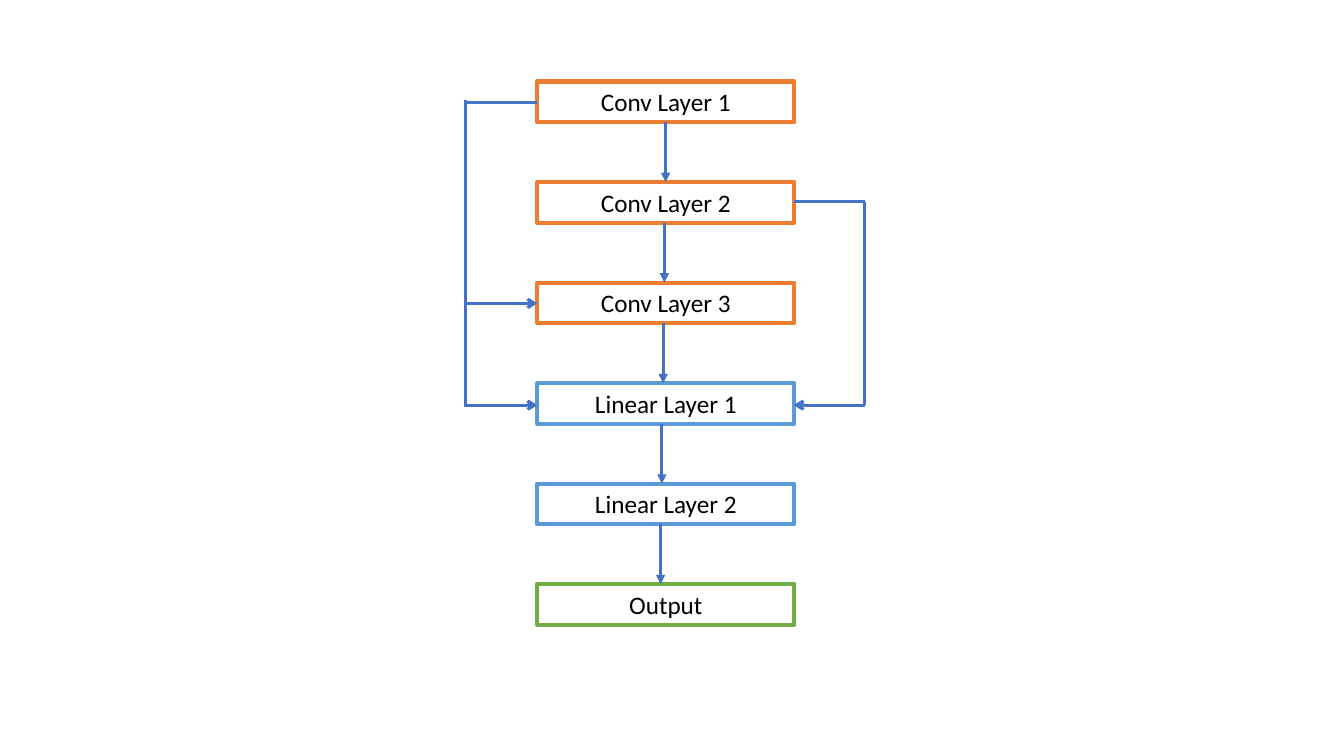
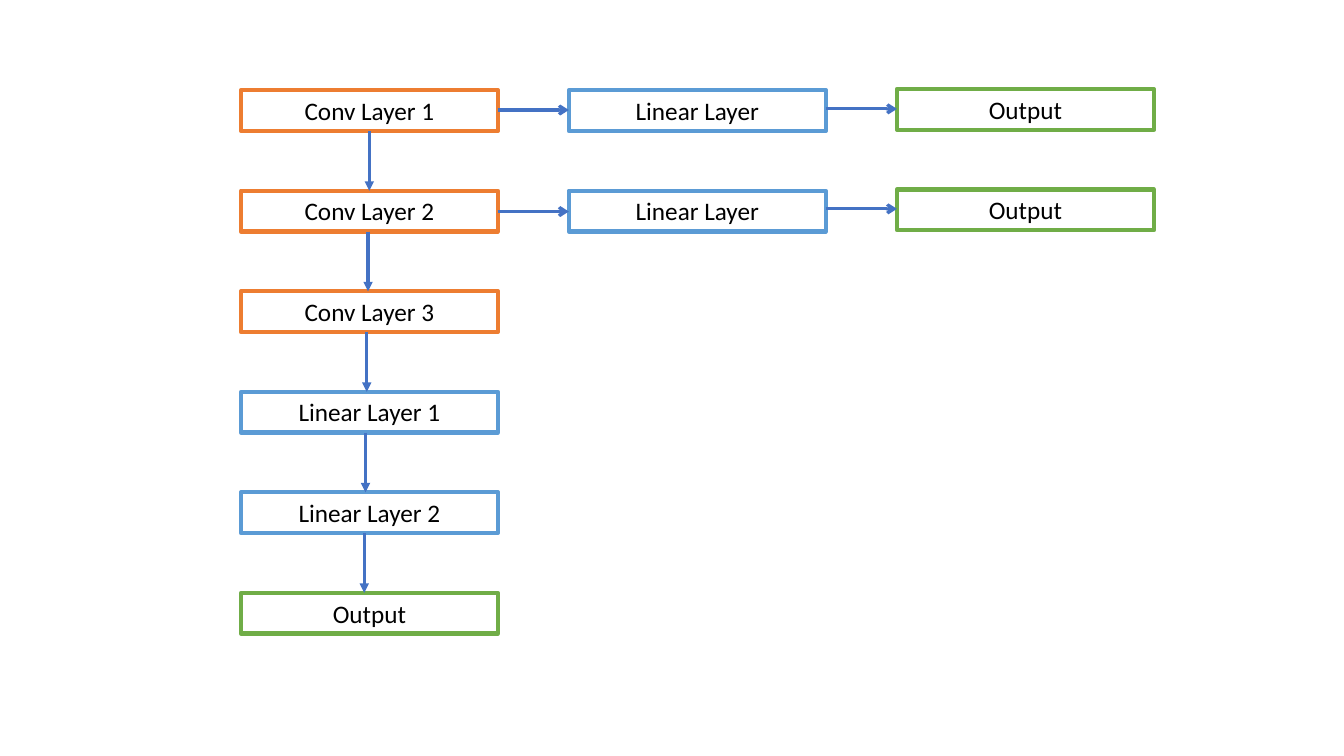
from pptx import Presentation
from pptx.dml.color import RGBColor
from pptx.enum import shapes, text
from pptx.oxml import ns
from pptx.util import Pt
from lxml import etree

# Shared style
ORANGE, BLUE, GREEN, ARROW = "ED7D31", "5B9BD5", "70AD47", "4472C4"
WIDE, HIGH, STEP = 183.6, 29.08, 71.8
FONT = {"name": "Calibri", "size": Pt(18)}
FRAME = {"word_wrap": True, "auto_size": text.MSO_AUTO_SIZE.SHAPE_TO_FIT_TEXT}
STACK = [("Conv Layer 1", ORANGE), ("Conv Layer 2", ORANGE),
         ("Conv Layer 3", ORANGE), ("Linear Layer 1", BLUE),
         ("Linear Layer 2", BLUE), ("Output", GREEN)]
color = RGBColor.from_string


def box(slide, label, edge, left, top):
    shape = slide.shapes.add_textbox(Pt(left), Pt(top), Pt(WIDE), Pt(HIGH))
    shape.line.color.rgb = color(edge)
    shape.line.width = Pt(3)
    frame = shape.text_frame
    for key, value in FRAME.items():
        setattr(frame, key, value)
    para = frame.paragraphs[0]
    para.alignment = text.PP_ALIGN.CENTER
    run = para.add_run()
    run.text = label
    for key, value in FONT.items():
        setattr(run.font, key, value)
    run.font.color.rgb = color("000000")


def link(slide, x1, y1, x2, y2, tip=None):
    line = slide.shapes.add_connector(
        shapes.MSO_CONNECTOR.STRAIGHT, Pt(x1), Pt(y1), Pt(x2), Pt(y2))
    line.line.color.rgb = color(ARROW)
    line.line.width = Pt(2.25)
    if tip:
        etree.SubElement(line.line._get_or_add_ln(), ns.qn("a:tailEnd"), type=tip)
    etree.SubElement(line._element.spPr, ns.qn("a:effectLst"))


deck = Presentation()
deck.slide_width, deck.slide_height = Pt(960), Pt(540)

# Main stack on both slides, its arrows drifting slightly left
slides = []
for left, top in [(383.8, 58.3), (172.1, 64.5)]:
    slide = deck.slides.add_slide(deck.slide_layouts[6])
    slides.append(slide)
    for row, (label, edge) in enumerate(STACK):
        box(slide, label, edge, left, top + row * STEP)
    for row in range(len(STACK) - 1):
        x, y = left + 91.7 - 0.9 * row, top + row * STEP
        link(slide, x, y + HIGH, x, y + STEP, "triangle")
skip, side = slides

# Skip links left: layer 1 to conv 3 and linear 1
edge, rail = 383.8, 332.8
link(skip, edge, 73, rail, 73)
link(skip, rail, 71.6, rail, 290.8)
for y in (216.7, 289.4):
    link(skip, rail, y, edge, y, "arrow")

# Skip link right: conv 2 to linear 1
edge, rail = 567, 617.6
link(skip, edge, 144, rail, 144)
link(skip, rail, 144, rail, 289.4)
link(skip, rail, 289.4, edge, 289.4, "arrow")

# Side outputs of the first two layers
for row, ys in enumerate([(78.6, 77.8), (151.1, 149.2)]):
    for label, edge, left, top, y in [("Linear Layer", BLUE, 406.3, 64.5, ys[0]),
                                      ("Output", GREEN, 640.7, 63.6, ys[1])]:
        box(side, label, edge, left, top + row * STEP)
        link(side, left - 50.8, y, left, y, "arrow")

deck.save("out.pptx")
